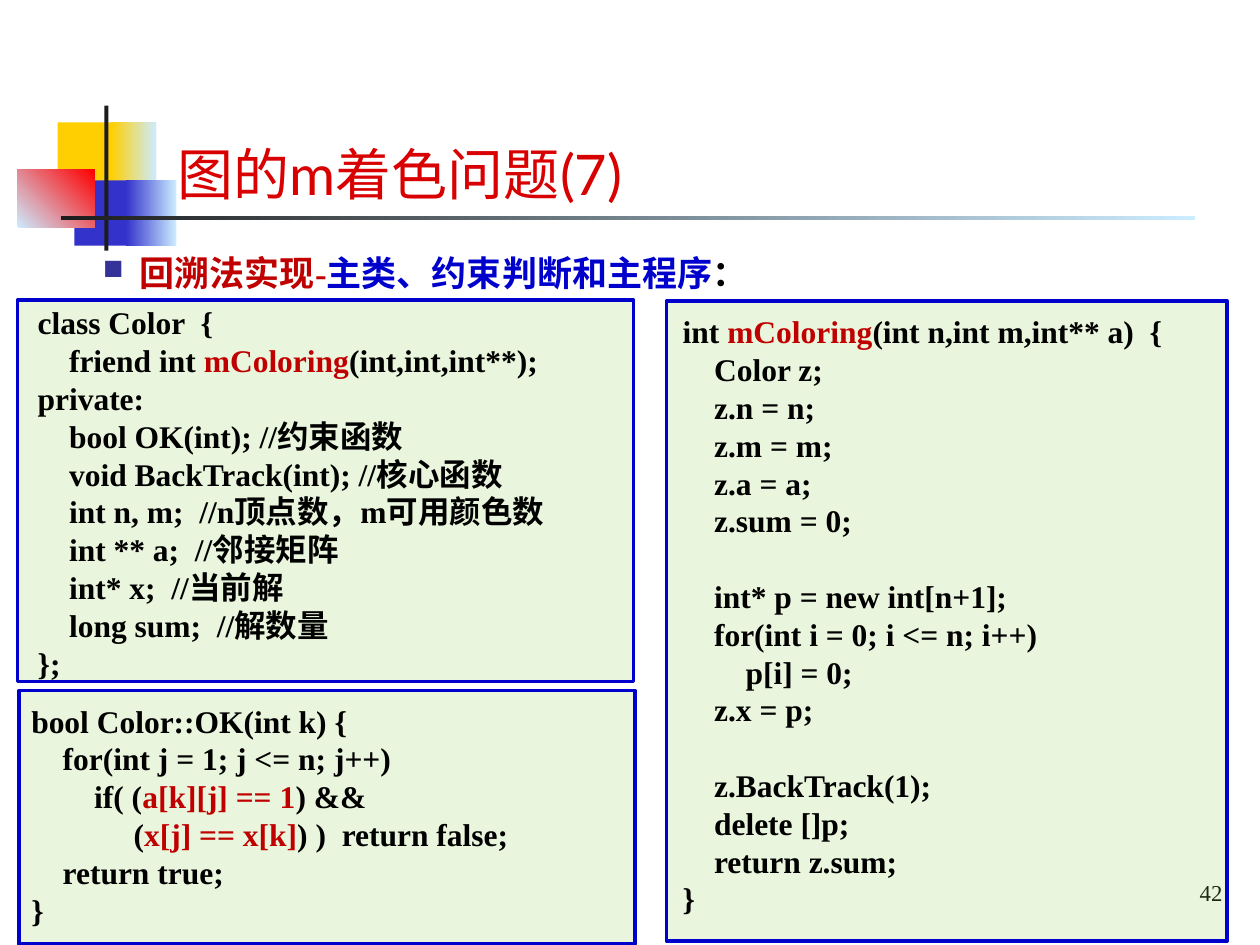
"""Build the slide on the m-colouring problem: main class, constraint and main program."""
from lxml.etree import SubElement
from pptx import Presentation
from pptx.dml.color import RGBColor
from pptx.enum.shapes import MSO_SHAPE
from pptx.enum.text import MSO_ANCHOR, PP_ALIGN
from pptx.oxml.ns import qn
from pptx.util import Pt

HUES = {
    "gold": "FFCF01", "sky": "CCECFF", "blue": "3333CC", "red": "FF0000",
    "dark": "1C1C1C", "green": "92D050", "edge": "0000CC", "title": "D80000",
    "mark": "C00000", "black": "000000", "dot": "333399",
}
SERIF = "Times New Roman"

deck = Presentation()
deck.slide_width, deck.slide_height = Pt(720), Pt(540)
slide = deck.slides.add_slide(deck.slide_layouts[6])


def add_box(area, text=False):
    spots = [Pt(n) for n in area]
    if not text:
        shape = slide.shapes.add_shape(MSO_SHAPE.RECTANGLE, *spots)
        shape.shadow.inherit = False
        return shape
    frame = slide.shapes.add_textbox(*spots).text_frame
    frame.word_wrap = True
    return frame


def add_run(para, text, hue, size, bold=True, font=SERIF):
    run = para.add_run()
    run.text = text
    run.font.name = font
    run.font.size = Pt(size)
    run.font.bold = bold
    run.font.color.rgb = RGBColor.from_string(HUES[hue])
    para.line_spacing = Pt(size * 1.2)


decor = [
    ((33, 70, 34.5, 37.4), ["gold"], 0),
    ((63.4, 70, 25.9, 37.4), ["gold", "sky"], 0),
    ((42.5, 103, 33, 37.4), ["blue"], 0),
    ((72, 103, 28.8, 37.4), ["blue", "sky"], 0),
    ((10, 97, 44, 33), ["sky", "red"], 45),
    ((59.6, 60.4, 2.4, 82.8), ["dark"], 0),
    ((34.8, 123.2, 648, 2.4), ["dark", "sky"], 0),
]
for area, hues, angle in decor:
    shape = add_box(area)
    shape.line.fill.background()
    if len(hues) == 1:
        shape.fill.solid()
        shape.fill.fore_color.rgb = RGBColor.from_string(HUES[hues[0]])
    else:
        shape.fill.gradient()
        shape.fill.gradient_angle = angle
        for stop, hue, place in zip(shape.fill.gradient_stops, hues, (0, 1)):
            stop.color.rgb = RGBColor.from_string(HUES[hue])
            stop.position = place

frame = add_box((568, 496.8, 137.6, 26.6), True)
frame.vertical_anchor = MSO_ANCHOR.MIDDLE
para = frame.paragraphs[0]
para.alignment = PP_ALIGN.RIGHT
add_run(para, "42", "black", 13, False)

frame = add_box((94.3, 43.2, 606.2, 78.5), True)
frame.vertical_anchor = MSO_ANCHOR.BOTTOM
add_run(frame.paragraphs[0], "图的m着色问题(7)", "title", 32, False, "Lato")

para = add_box((51.8, 140.4, 439.2, 31), True).paragraphs[0]
props = para._p.get_or_add_pPr()
props.set("marL", str(Pt(21)))
props.set("indent", str(-Pt(21)))
tint = SubElement(props, qn("a:buClr"))
SubElement(tint, qn("a:srgbClr"), val=HUES["dot"])
SubElement(props, qn("a:buSzPct"), val="80000")
SubElement(props, qn("a:buChar"), char="■")
for text, hue in (("回溯法实现-", "mark"), ("主类、约束判断和主程序", "edge"), ("：", "black")):
    add_run(para, text, hue, 20)

main_class = """class Color  {
    friend int |mColoring|(int,int,int**);
private:
    bool OK(int); //约束函数
    void BackTrack(int); //核心函数
    int n, m;  //n顶点数，m可用颜色数
    int ** a;  //邻接矩阵
    int* x;  //当前解
    long sum;  //解数量
};"""
check = """bool Color::OK(int k) {
    for(int j = 1; j <= n; j++)
        if( (|a[k][j] == 1|) &&
             (|x[j] == x[k]|) )  return false;
    return true;
}"""
program = """int |mColoring|(int n,int m,int** a)  {
    Color z;
    z.n = n;
    z.m = m;
    z.a = a;
    z.sum = 0;

    int* p = new int[n+1];
    for(int i = 0; i <= n; i++)
        p[i] = 0;
    z.x = p;

    z.BackTrack(1);
    delete []p;
    return z.sum;
}"""
panels = [
    ((10, 171.4, 352, 218.2), (14.4, 169.9, 317.5, 223.2), main_class),
    ((10.8, 394.6, 352, 144.7), (10.8, 397.4, 321, 136.8), check),
    ((380.9, 172, 320.4, 365.8), (383, 175, 317.5, 352.8), program),
]
for area, inner, code in panels:
    panel = add_box(area)
    panel.fill.solid()
    panel.fill.fore_color.rgb = RGBColor.from_string(HUES["green"])
    tint = panel._element.spPr.find(qn("a:solidFill")).find(qn("a:srgbClr"))
    SubElement(tint, qn("a:alpha"), val="20000")
    panel.line.color.rgb = RGBColor.from_string(HUES["edge"])
    panel.line.width = Pt(2)

    frame = add_box(inner, True)
    para = frame.paragraphs[0]
    gap = 0
    for row, line in enumerate(code.split("\n")):
        if not line:
            gap = 21.6
            continue
        if row:
            para = frame.add_paragraph()
        if gap:
            para.space_before = Pt(gap)
            gap = 0
        for part, text in enumerate(line.split("|")):
            add_run(para, text, "mark" if part % 2 else "black", 18)

deck.save("out.pptx")
